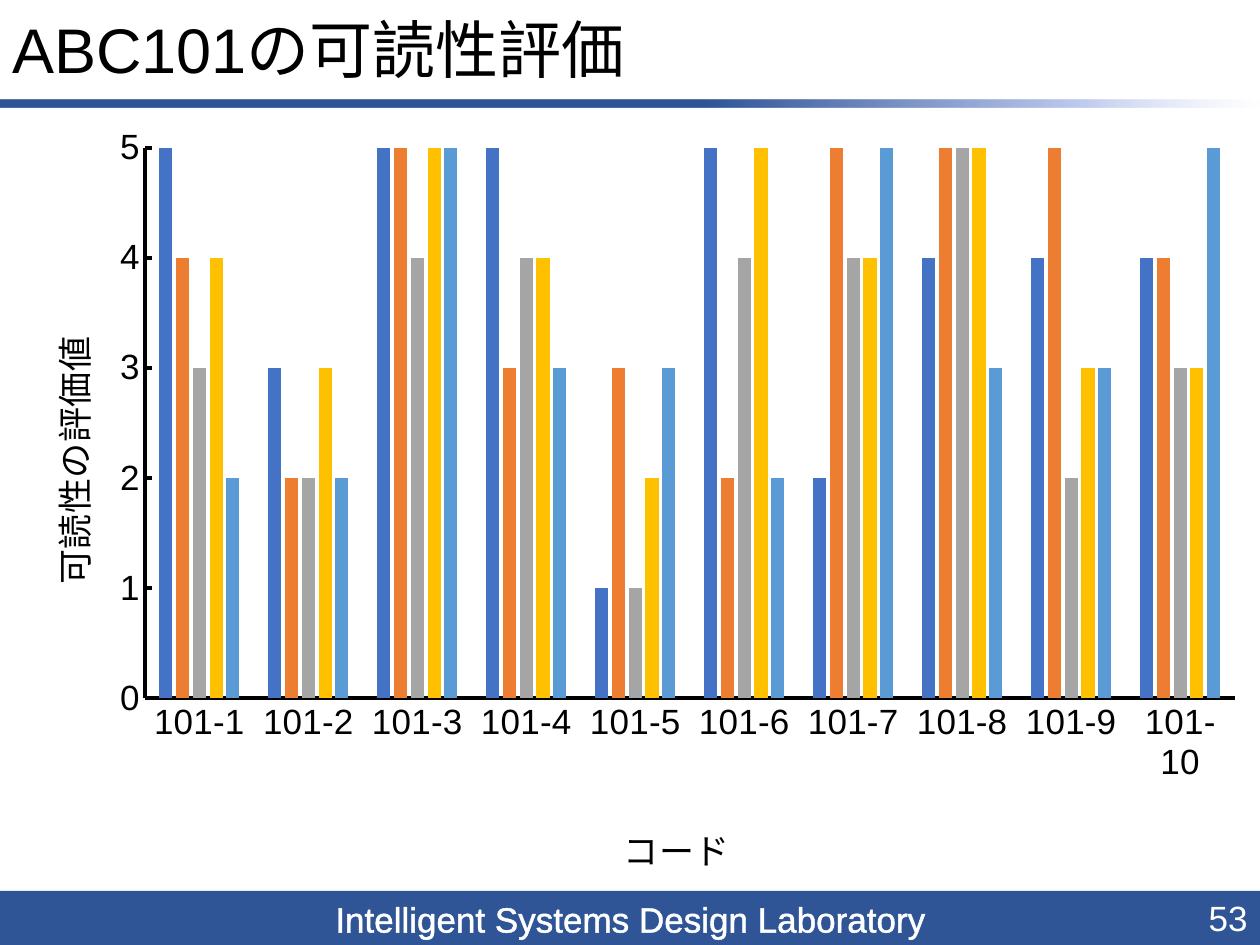
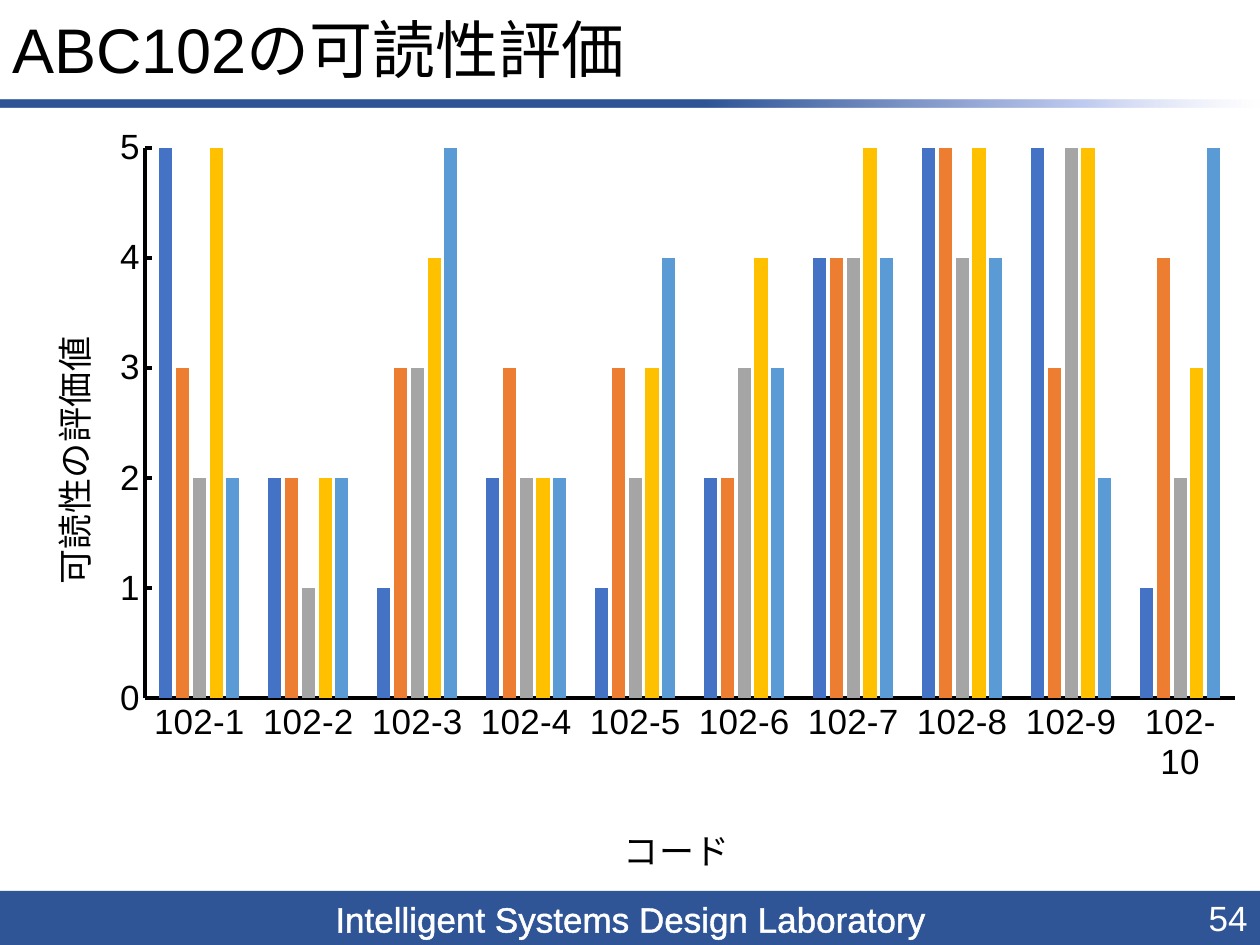
from pptx import Presentation
from pptx.chart.data import CategoryChartData
from pptx.dml.color import RGBColor
from pptx.enum.chart import XL_CHART_TYPE as CT, XL_TICK_MARK as Tick
from pptx.enum.shapes import MSO_SHAPE as Shape
from pptx.enum.text import MSO_ANCHOR as Anchor, PP_ALIGN as Align
from pptx.oxml import parse_xml
from pptx.oxml.ns import nsdecls, qn
from pptx.util import Inches, Pt

COLORS = {
    "navy": "2F5597", "mist": "C0CBF0", "haze": "E0E5F7",
    "text": "000000", "white": "FFFFFF",
}
SERIES_COLORS = ["4472C4", "ED7D31", "A5A5A5", "FFC000", "5B9BD5"]
FONT = "Arial"
FOOTER = "Intelligent Systems Design Laboratory"

# problem, page number, one list of ratings per series
SLIDES = [
    (101, 53, [
        [5, 3, 5, 5, 1, 5, 2, 4, 4, 4],
        [4, 2, 5, 3, 3, 2, 5, 5, 5, 4],
        [3, 2, 4, 4, 1, 4, 4, 5, 2, 3],
        [4, 3, 5, 4, 2, 5, 4, 5, 3, 3],
        [2, 2, 5, 3, 3, 2, 5, 3, 3, 5],
    ]),
    (102, 54, [
        [5, 2, 1, 2, 1, 2, 4, 5, 5, 1],
        [3, 2, 3, 3, 3, 2, 4, 5, 3, 4],
        [2, 1, 3, 2, 2, 3, 4, 4, 5, 2],
        [5, 2, 4, 2, 3, 4, 5, 5, 5, 3],
        [2, 2, 5, 2, 4, 3, 4, 4, 2, 5],
    ]),
]


def rgb(name):
    """Return the named colour."""
    return RGBColor.from_string(COLORS[name])


def layout(x, y, w=None, h=None):
    """Return a manual chart layout in fractions of the chart."""
    target = '<c:layoutTarget val="inner"/>' if w else ""
    size = f'<c:w val="{w}"/><c:h val="{h}"/>' if w else ""
    return parse_xml(
        f'<c:layout {nsdecls("c")}><c:manualLayout>{target}'
        '<c:xMode val="edge"/><c:yMode val="edge"/>'
        f'<c:x val="{x}"/><c:y val="{y}"/>{size}</c:manualLayout></c:layout>')


def set_layout(parent, new, after=None):
    """Replace the layout of a chart part, after a given child or first."""
    for old in parent.findall(qn("c:layout")):
        parent.remove(old)
    if after is None:
        parent.insert(0, new)
    else:
        parent.find(qn(after)).addnext(new)


class Deck:
    """Holds the presentation, its style and the current slide."""

    def __init__(self):
        """Start an empty 4:3 presentation."""
        self.prs = Presentation()
        self.prs.slide_width, self.prs.slide_height = Inches(10), Inches(7.5)
        self.slide = None

    def new_slide(self, title, number):
        """Add a slide with the shared footer, rule, title and number."""
        self.slide = self.prs.slides.add_slide(self.prs.slide_layouts[6])
        footer = self.bar(0, 7.07, 10.01, 0.44)
        r = self.add_run(footer.text_frame, FOOTER, 20, "white", Align.CENTER)
        r._r.get_or_add_rPr().insert(0, parse_xml(
            f'<a:ln {nsdecls("a")} w="9525"><a:solidFill>'
            f'<a:srgbClr val="{COLORS["white"]}"/></a:solidFill></a:ln>'))
        self.fade(self.bar(0, 0.79, 10, 0.06))
        p = self.text(title, 0, 0.05, 10, 0.74, 36, "text", Align.LEFT)
        p.line_spacing = 0.9
        self.text(str(number), 7.75, 7.07, 2.25, 0.43, 20, "white", Align.RIGHT)

    def bar(self, x, y, w, h):
        """Add a plain navy rectangle."""
        s = self.slide.shapes.add_shape(
            Shape.RECTANGLE, Inches(x), Inches(y), Inches(w), Inches(h))
        s.shadow.inherit = False
        s.fill.solid()
        s.fill.fore_color.rgb = rgb("navy")
        s.line.fill.background()
        return s

    def fade(self, s):
        """Let a bar fade out to the right."""
        stops = [(56, "navy", 100), (86, "mist", 100), (100, "haze", 0)]
        gs = "".join(
            f'<a:gs pos="{pos * 1000}"><a:srgbClr val="{COLORS[name]}">'
            f'<a:alpha val="{alpha * 1000}"/></a:srgbClr></a:gs>'
            for pos, name, alpha in stops)
        spPr = s._element.spPr
        spPr.replace(spPr.find(qn("a:solidFill")), parse_xml(
            f'<a:gradFill {nsdecls("a")}><a:gsLst>{gs}</a:gsLst>'
            '<a:lin ang="0" scaled="0"/></a:gradFill>'))

    def add_run(self, tf, text, size, color, align):
        """Add one run to the first paragraph of a text frame."""
        p = tf.paragraphs[0]
        p.alignment = align
        r = p.add_run()
        r.text = text
        self.style(r.font, size, color)
        return r

    def style(self, font, size=20, color="text"):
        """Set the shared font with a size and colour."""
        font.name, font.size, font.bold = FONT, Pt(size), False
        font.color.rgb = rgb(color)

    def text(self, text, x, y, w, h, size, color, align):
        """Add a vertically centred text box and return its paragraph."""
        tf = self.slide.shapes.add_textbox(
            Inches(x), Inches(y), Inches(w), Inches(h)).text_frame
        tf.word_wrap = True
        tf.vertical_anchor = Anchor.MIDDLE
        self.add_run(tf, text, size, color, align)
        return tf.paragraphs[0]

    def axis(self, axis, title, x, y, tick):
        """Style an axis and place its title."""
        axis.has_major_gridlines = False
        axis.major_tick_mark, axis.minor_tick_mark = tick, Tick.NONE
        axis.format.line.color.rgb = rgb("text")
        axis.format.line.width = Pt(2.25)
        self.style(axis.tick_labels.font)
        self.add_run(axis.axis_title.text_frame, title, 20, "text", Align.CENTER)
        set_layout(axis.axis_title._element, layout(x, y), "c:tx")

    def ratings(self, cats, rows):
        """Add the clustered column chart of ratings."""
        data = CategoryChartData()
        data.categories = cats
        for i, vals in enumerate(rows, 1):
            data.add_series(f"Series {i}", vals)
        chart = self.slide.shapes.add_chart(
            CT.COLUMN_CLUSTERED, Inches(0), Inches(0.89), Inches(10),
            Inches(6.18), data).chart
        chart.has_legend = chart.has_title = False
        self.style(chart.font)
        plot = chart.plots[0]
        plot.gap_width, plot.overlap = 219, -27
        plot.vary_by_categories = False
        for series, color in zip(plot.series, SERIES_COLORS):
            series.format.fill.solid()
            series.format.fill.fore_color.rgb = RGBColor.from_string(color)
        self.axis(chart.category_axis, "コード", 0.49, 0.9, Tick.NONE)
        val = chart.value_axis
        self.axis(val, "可読性の評価値", 0.03, 0.28, Tick.INSIDE)
        val.minimum_scale, val.maximum_scale, val.major_unit = 0, 5, 1
        plot_area = chart._chartSpace.chart.plotArea
        set_layout(plot_area, layout(0.115, 0.046, 0.865, 0.707))


def main():
    """Build one rating slide per problem and save."""
    deck = Deck()
    for problem, number, rows in SLIDES:
        deck.new_slide(f"ABC{problem}の可読性評価", number)
        deck.ratings([f"{problem}-{i}" for i in range(1, 11)], rows)
    deck.prs.save("out.pptx")


main()
